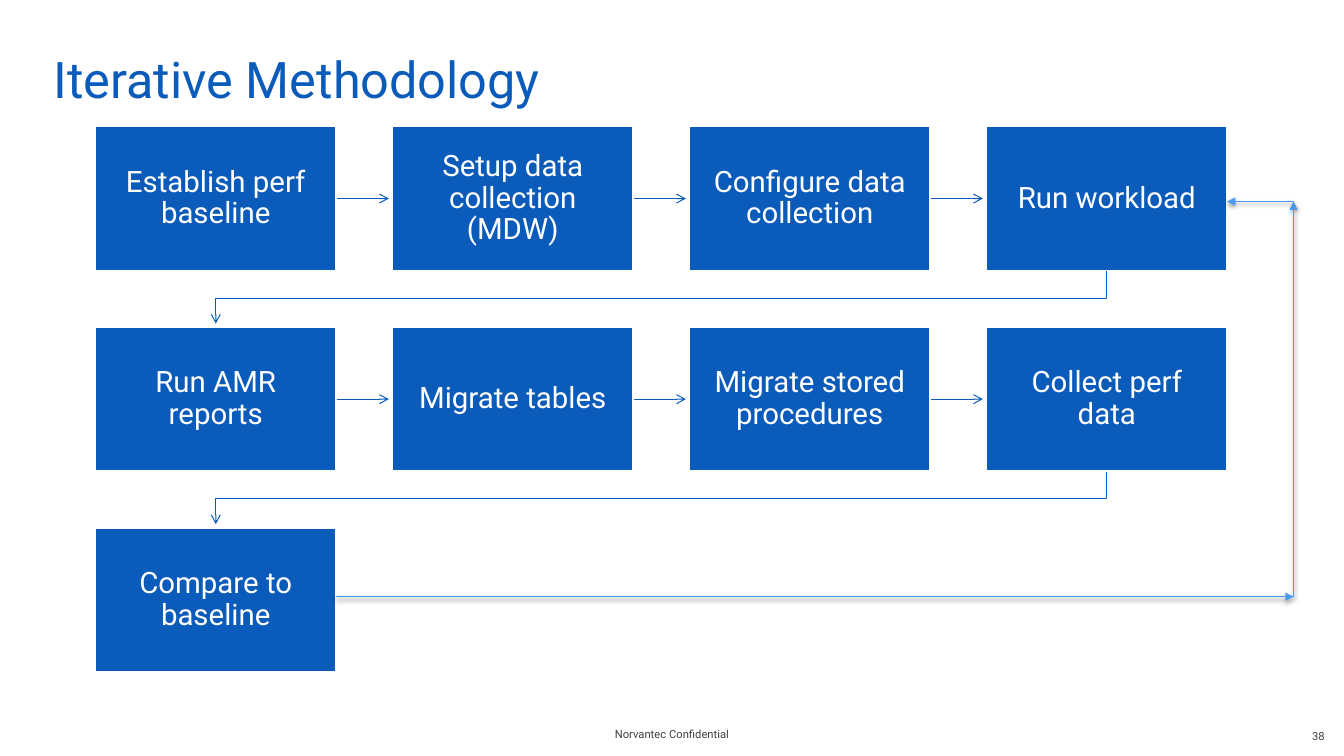
import pptx
import pptx.dml.color
import pptx.enum.shapes
import pptx.enum.text
import pptx.oxml
import pptx.oxml.ns
import pptx.util
from pptx.util import Inches

BLUE, LIGHT_BLUE, WHITE, GRAY = "0A5BBA", "4C9AF5", "FFFFFF", "3F3F3F"
ALIGN = pptx.enum.text.PP_ALIGN
ANCHOR = pptx.enum.text.MSO_ANCHOR
STRAIGHT = pptx.enum.shapes.MSO_CONNECTOR.STRAIGHT
NAMESPACE = pptx.oxml.ns.nsdecls("a")
SHADOW = (
    '<a:outerShdw blurRad="40000" dist="20000" dir="5400000" rotWithShape="0">'
    '<a:srgbClr val="000000"><a:alpha val="38000"/></a:srgbClr></a:outerShdw>'
)


def write(shape, text, size, color, align, anchor, margins):
    """Fill a shape with one paragraph; margins are left, top, right, bottom in inches."""
    frame = shape.text_frame
    frame.word_wrap = True
    frame.vertical_anchor = anchor
    frame.margin_left, frame.margin_top, frame.margin_right, frame.margin_bottom = map(Inches, margins)
    paragraph = frame.paragraphs[0]
    paragraph.text = text
    paragraph.alignment = align
    paragraph.font.name = "Roboto"
    paragraph.font.size = pptx.util.Pt(size)
    paragraph.font.color.rgb = pptx.dml.color.RGBColor.from_string(color)
    return paragraph


def style_arrow(shape, color, width, head, effect=""):
    """Colour a line, put an arrowhead at its end and set its effect."""
    shape.line.color.rgb = pptx.dml.color.RGBColor.from_string(color)
    shape.line.width = pptx.util.Pt(width)
    properties = shape._element.spPr
    line = properties.find(pptx.oxml.ns.qn("a:ln"))
    line.append(pptx.oxml.parse_xml(f'<a:tailEnd {NAMESPACE} type="{head}"/>'))
    properties.append(pptx.oxml.parse_xml(f"<a:effectLst {NAMESPACE}>{effect}</a:effectLst>"))


presentation = pptx.Presentation()
presentation.slide_width = Inches(13.33)
presentation.slide_height = Inches(7.5)
slide = presentation.slides.add_slide(presentation.slide_layouts[6])
shapes = slide.shapes

# Title and footer
for left, top, width, height, text, size, color, align, anchor, margins in [
    (0.33, 0.33, 12.33, 0.75, "Iterative Methodology", 36, BLUE, ALIGN.LEFT, ANCHOR.TOP, (0.2, 0.15, 0.1, 0.05)),
    (5.11, 7.08, 3.11, 0.4, "Norvantec Confidential", 8, GRAY, ALIGN.CENTER, ANCHOR.MIDDLE, (0.2, 0.05, 0.2, 0.05)),
    (10.23, 7.1, 3.11, 0.4, "38", 8, GRAY, ALIGN.RIGHT, ANCHOR.MIDDLE, (0.2, 0.05, 0.2, 0.05)),
]:
    box = shapes.add_textbox(Inches(left), Inches(top), Inches(width), Inches(height))
    write(box, text, size, color, align, anchor, margins)

# Steps, four to a row
steps = [
    "Establish perf baseline", "Setup data collection (MDW)", "Configure data collection", "Run workload",
    "Run AMR reports", "Migrate tables", "Migrate stored procedures", "Collect perf data",
    "Compare to baseline",
]
COLUMNS = 4
LEFT, TOP = Inches(0.94), Inches(1.25)
COLUMN_PITCH, ROW_PITCH = Inches(2.946), Inches(1.99)
STEP_WIDTH, STEP_HEIGHT = Inches(2.4), Inches(1.44)
ARROW_GAP = Inches(0.03)

step_boxes = []
for index, step in enumerate(steps):
    row, column = divmod(index, COLUMNS)
    box = shapes.add_shape(
        pptx.enum.shapes.MSO_SHAPE.RECTANGLE,
        LEFT + column * COLUMN_PITCH, TOP + row * ROW_PITCH, STEP_WIDTH, STEP_HEIGHT,
    )
    box.shadow.inherit = False
    box.fill.solid()
    box.fill.fore_color.rgb = pptx.dml.color.RGBColor.from_string(BLUE)
    box.line.color.rgb = pptx.dml.color.RGBColor.from_string(WHITE)
    box.line.width = pptx.util.Pt(2)
    paragraph = write(box, step, 21, WHITE, ALIGN.CENTER, ANCHOR.MIDDLE, (0.16,) * 4)
    paragraph.line_spacing = 0.9
    step_boxes.append(box)

# Arrows from each step to the next
for box, following in zip(step_boxes, step_boxes[1:]):
    if box.top == following.top:
        middle = box.top + STEP_HEIGHT // 2
        arrow = shapes.add_connector(STRAIGHT, box.left + STEP_WIDTH, middle, following.left - ARROW_GAP, middle)
        arrow.begin_connect(box, 3)
    else:
        start_x = box.left + STEP_WIDTH // 2
        end_x = following.left + STEP_WIDTH // 2
        bottom = box.top + STEP_HEIGHT
        turn = bottom + Inches(0.27)
        builder = shapes.build_freeform(start_x, bottom)
        builder.add_line_segments(
            [(start_x, turn), (end_x, turn), (end_x, following.top - ARROW_GAP)], close=False
        )
        arrow = builder.convert_to_shape()
        arrow.fill.background()
    style_arrow(arrow, BLUE, 0.75, "arrow")

# Loop from the comparison back to the workload
loop = [(3.33, 5.92), (12.83, 5.92), (12.83, 2), (12.17, 2)]
for start, end in zip(loop, loop[1:]):
    arrow = shapes.add_connector(STRAIGHT, *map(Inches, start + end))
    style_arrow(arrow, LIGHT_BLUE, 1, "triangle", SHADOW)

presentation.save("out.pptx")
